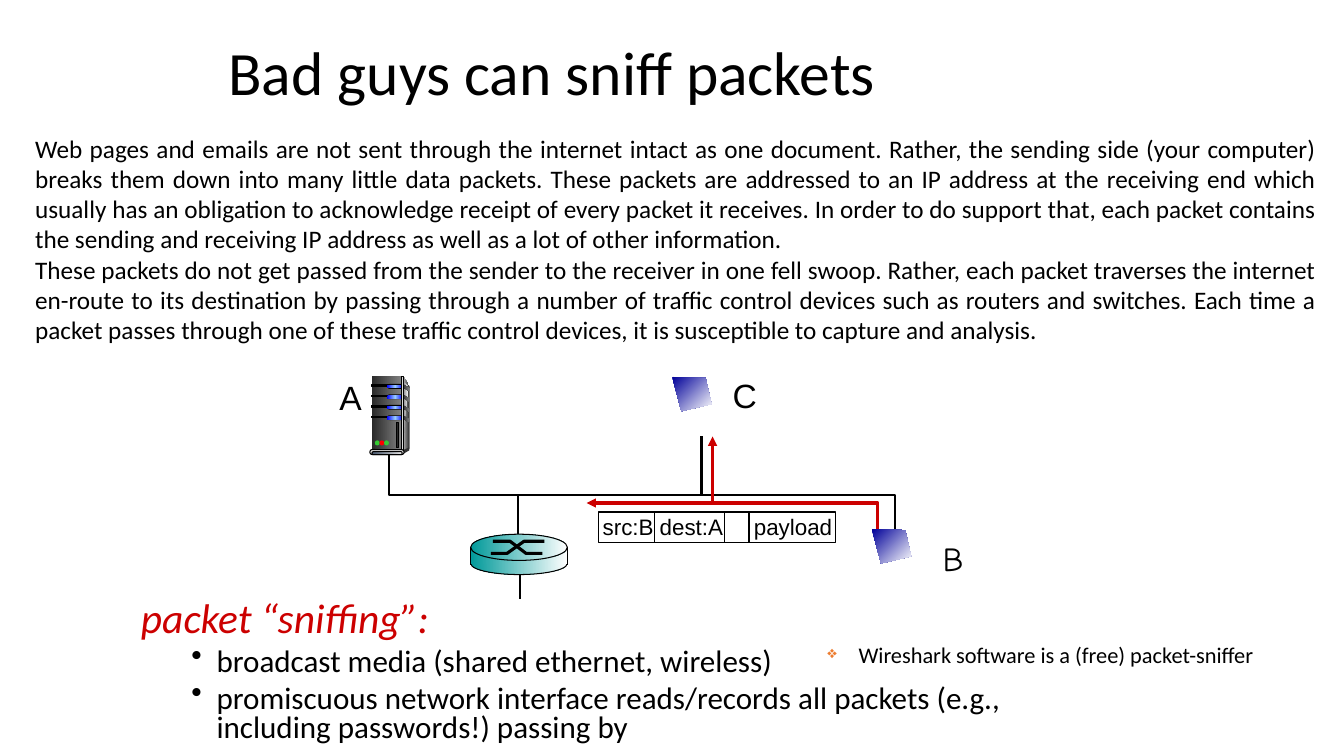
from copy import deepcopy
from dataclasses import dataclass

from lxml.etree import SubElement
from pptx import Presentation
from pptx.dml.color import RGBColor
from pptx.enum.shapes import MSO_CONNECTOR, MSO_SHAPE as Preset
from pptx.enum.text import MSO_ANCHOR as Anchor, PP_ALIGN as Align
from pptx.oxml.ns import qn
from pptx.util import Pt

COLORS = {
    "black": "000000", "white": "FFFFFF", "red": "CC0000", "orange": "ED7D31",
    "navy": "000099", "teal": "009999", "blue": "0000FF", "sky": "99CCFF",
    "coal": "292929", "dark": "333333", "grey": "808080", "silver": "DDDDDD",
    "pale": "F8F8F8", "slate": "44546A", "mist": "E7E6E6",
    "green": "33CC33", "lamp red": "FF0000",
}
Box = tuple[float, float, float, float]
Point = tuple[float, float]


@dataclass(frozen=True)
class Style:
    """Fill colours (several make a gradient) and outline; lengths in points."""
    fill: tuple[str, ...] = ()
    line: str = ""
    width: float = 0.75
    angle: float = 0
    arrow: bool = False


@dataclass(frozen=True)
class Part:
    preset: Preset
    box: Box
    style: Style


@dataclass(frozen=True)
class Outline:
    points: tuple[Point, ...]
    style: Style
    closed: bool = True


@dataclass(frozen=True)
class Wire:
    start: Point
    end: Point
    style: Style


def rgb(name: str) -> RGBColor:
    return RGBColor.from_string(COLORS[name])


def apply_line(item, style: Style) -> None:
    item.line.color.rgb = rgb(style.line)
    item.line.width = Pt(style.width)
    if style.arrow:
        outline = item._element.spPr.find(qn("a:ln"))
        SubElement(outline, qn("a:tailEnd"), type="triangle")


def apply_style(item, style: Style) -> None:
    item.shadow.inherit = False
    if not style.fill:
        item.fill.background()
    elif len(style.fill) == 1:
        item.fill.solid()
        item.fill.fore_color.rgb = rgb(style.fill[0])
    else:
        item.fill.gradient()
        item.fill.gradient_angle = (360 - style.angle) % 360
        stops = item._element.spPr.find(".//" + qn("a:gsLst"))
        while len(stops) < len(style.fill):
            stops.append(deepcopy(stops[-1]))
        for index, stop in enumerate(item.fill.gradient_stops):
            stop.position = index / (len(style.fill) - 1)
            stop.color.rgb = rgb(style.fill[index])
    if style.line:
        apply_line(item, style)
    else:
        item.line.fill.background()


def draw(shapes, element: Part | Outline | Wire) -> None:
    if isinstance(element, Wire):
        ends = (*element.start, *element.end)
        wire = shapes.add_connector(MSO_CONNECTOR.STRAIGHT, *map(Pt, ends))
        apply_line(wire, element.style)
        SubElement(wire._element.spPr, qn("a:effectLst"))
        return
    if isinstance(element, Part):
        item = shapes.add_shape(element.preset, *map(Pt, element.box))
        if element.preset == Preset.ROUNDED_RECTANGLE:
            item.adjustments[0] = 0.5
    else:
        first, *others = [(Pt(x), Pt(y)) for x, y in element.points]
        builder = shapes.build_freeform(*first, scale=1.0)
        builder.add_line_segments(others, close=element.closed)
        item = builder.convert_to_shape()
    apply_style(item, element.style)


def add_frame(shapes, box: Box, wrap: bool = True, anchor: Anchor = Anchor.TOP):
    frame = shapes.add_textbox(*map(Pt, box)).text_frame
    frame.word_wrap = wrap
    frame.vertical_anchor = anchor
    return frame


def write(frame, text: str, *, size: float, font: str = "Calibri", color: str = "black",
          italic: bool = False, align: Align = Align.LEFT, spacing: float = 1.0,
          before: float = 0, margin: float = 0, hanging: float = 0, bullet: str = "",
          bullet_color: str = "", bullet_percent: int = 100, tab: float = 0) -> None:
    """Add one formatted paragraph to the frame."""
    paragraph = frame.paragraphs[0]
    if paragraph.runs:
        paragraph = frame.add_paragraph()
    properties = paragraph._p.get_or_add_pPr()
    properties.set("marL", str(Pt(margin)))
    properties.set("indent", str(-Pt(hanging)))
    if bullet_color:
        tint = SubElement(properties, qn("a:buClr"))
        SubElement(tint, qn("a:srgbClr"), val=COLORS[bullet_color])
    if bullet:
        SubElement(properties, qn("a:buSzPct"), val=str(bullet_percent * 1000))
        SubElement(properties, qn("a:buChar"), char=bullet)
    if tab:
        stops = SubElement(properties, qn("a:tabLst"))
        SubElement(stops, qn("a:tab"), pos=str(Pt(tab)), algn="l")
    paragraph.alignment = align
    paragraph.line_spacing = spacing
    paragraph.space_before = Pt(before)
    run = paragraph.add_run()
    run.text = text
    run.font.name, run.font.size = font, Pt(size)
    run.font.italic = italic
    run.font.color.rgb = rgb(color)


CABLE = Style(line="black", width=1.5)
DIVIDER = Style(line="black", width=1)
THIN = Style(line="black")
SNIFFED = Style(line="red", width=2.25, arrow=True)
CROSSING = Style(line="black", width=2.25)
TEAL = Style(("teal", "white"))
TEAL_EDGED = Style(("teal", "white"), "black")
METAL = Style(("coal", "grey"))
BLACK = Style(("black",))
DARK = Style(("dark",))


def screen(left: float, top: float) -> Outline:
    corners = ((0, 0), (23.8, 0.7), (28.1, 19.4), (6.5, 24.5))
    return Outline(tuple((left + x, top + y) for x, y in corners),
                   Style(("navy", "white"), angle=45))


def drive_bay(top: float) -> list[Part | Outline]:
    return [
        Part(Preset.RECTANGLE, (265.7, top, 12.2, 1.1), Style(("black",), "black")),
        Part(Preset.ROUNDED_RECTANGLE, (276.5, top - 0.7, 11.5, 3.4), BLACK),
        Part(Preset.ROUNDED_RECTANGLE, (276.5, top, 11.5, 2.5), Style(("blue", "sky", "blue"))),
        Outline(((287.5, top - 0.6), (292.6, top + 2.3), (292.6, top + 4.5),
                 (287.5, top + 1.6)), METAL),
    ]


NETWORK = [
    screen(480.2, 269.3),
    Outline(((277.9, 321.8), (277.9, 353.5), (639.4, 353.5), (639.4, 379.4)), CABLE, False),
    Wire((501.1, 353), (501.1, 311.8), CABLE),
    Wire((370.1, 382.3), (370.1, 352.8), CABLE),
    Wire((371.5, 427.7), (371.5, 409), CABLE),
    Part(Preset.RECTANGLE, (427.7, 365.8, 169.2, 21.6), Style(("white",), "black", 1)),
    *(Wire((x, 366.5), (x, 387.7), DIVIDER) for x in (467.3, 517.7, 535)),
    Outline(((627.1, 378), (627.1, 359.3), (419, 359.3)), SNIFFED, False),
    Wire((509, 359.3), (509, 311.8), SNIFFED),
    screen(622.8, 378),
]
SERVER = [
    Outline(((288, 268.6), (292.3, 275.8), (292.3, 320.4), (286.6, 322.6)),
            Style(("silver", "dark"))),
    Part(Preset.RECTANGLE, (265.7, 268.6, 20.9, 53.3), Style(("coal", "grey"))),
    Outline(((288, 272.2), (291.6, 276.5), (289, 300), (288, 321.1)), Style(("grey", "pale"))),
    *(part for bay in range(4) for part in drive_bay(275 + 7.45 * bay)),
    Part(Preset.RECTANGLE, (286.6, 268.6, 1.4, 53.3), Style(("dark", "silver", "dark"), "black")),
    Part(Preset.OVAL, (291.6, 319.7, 0.7, 2.2), DARK),
    Outline(((287.3, 321.8), (287.3, 324.7), (292.3, 321.8), (292.3, 319.7)), DARK),
    Part(Preset.ROUNDED_RECTANGLE, (264.2, 321.1, 24.5, 3.6), Style(("silver",), "black")),
    Part(Preset.ROUNDED_RECTANGLE, (265.7, 322.6, 21.6, 2.2), Style(("slate", "mist"), "black")),
    *(Part(Preset.OVAL, (267.8 + 3.3 * i, 314.6, 3.4, 3.6), Style((lamp,)))
      for i, lamp in enumerate(("green", "lamp red", "green"))),
    Part(Preset.RECTANGLE, (283, 301.7, 1.4, 18), Style(("coal",), "black")),
]
ROUTER = [
    Part(Preset.OVAL, (336.2, 394.6, 69.1, 15.8), TEAL_EDGED),
    Part(Preset.RECTANGLE, (336.2, 393.1, 69.1, 10.1), TEAL),
    Part(Preset.OVAL, (336.2, 381.6, 69.1, 18.7), TEAL_EDGED),
    Outline(((350.6, 395.3), (362.2, 395.3), (374.4, 386.6), (388.8, 386.6)), CROSSING, False),
    Outline(((352.1, 386.6), (364.3, 386.6), (375.8, 395.3), (387.4, 395.3)), CROSSING, False),
    *(Wire((x, 391), (x, 403.5), THIN) for x in (336.2, 405.3)),
]
HOSTS = {"A": (235.4, 265.7, 30.2, 36), "B": (666, 380.9, 29.5, 36), "C": (516.2, 264.2, 31.7, 36)}
EXPLANATION = (
    "Web pages and emails are not sent through the internet intact as one document. Rather, the sending side (your computer) breaks them down into many little data packets. These packets are addressed to an IP address at the receiving end which usually has an obligation to acknowledge receipt of every packet it receives. In order to do support that, each packet contains the sending and receiving IP address as well as a lot of other information.",
    "These packets do not get passed from the sender to the receiver in one fell swoop. Rather, each packet traverses the internet en-route to its destination by passing through a number of traffic control devices such as routers and switches. Each time a packet passes through one of these traffic control devices, it is susceptible to capture and analysis.",
)
SNIFFING = (
    "broadcast media (shared ethernet, wireless)",
    "promiscuous network interface reads/records all packets (e.g., including passwords!) passing by",
)


def main() -> None:
    deck = Presentation()
    deck.slide_width, deck.slide_height = Pt(960), Pt(540)
    shapes = deck.slides.add_slide(deck.slide_layouts[6]).shapes

    title = add_frame(shapes, (156.2, 8.6, 612, 90), anchor=Anchor.MIDDLE)
    write(title, "Bad guys can sniff packets", size=44, spacing=0.9)
    explanation = add_frame(shapes, (18, 91.4, 929.5, 159.8))
    for passage in EXPLANATION:
        write(explanation, passage, size=18, align=Align.JUSTIFY)

    for element in NETWORK + SERVER + ROUTER:
        draw(shapes, element)
    for host, box in HOSTS.items():
        write(add_frame(shapes, box, wrap=False), host, size=24, align=Align.CENTER,
              font="Comic Neue" if host == "B" else "Arial")
    packet = add_frame(shapes, (423.4, 362.9, 180.7, 26.6))
    write(packet, "src:B dest:A\tpayload", size=16, font="Arial", tab=106.6)

    sniffing = add_frame(shapes, (93.6, 426.2, 635.8, 116.6))
    write(sniffing, "packet “sniffing”:", size=29.6, color="red", italic=True,
          spacing=0.8, margin=18, hanging=18)
    for point in SNIFFING:
        write(sniffing, point, size=22.2, spacing=0.8, before=5,
              margin=54, hanging=18, bullet="•")
    tool = add_frame(shapes, (547.9, 454.3, 371.5, 43.9))
    write(tool, "Wireshark software is a (free) packet-sniffer", size=16, margin=58.3,
          hanging=22.3, bullet="❖", bullet_color="orange", bullet_percent=75)
    deck.save("out.pptx")


if __name__ == "__main__":
    main()
